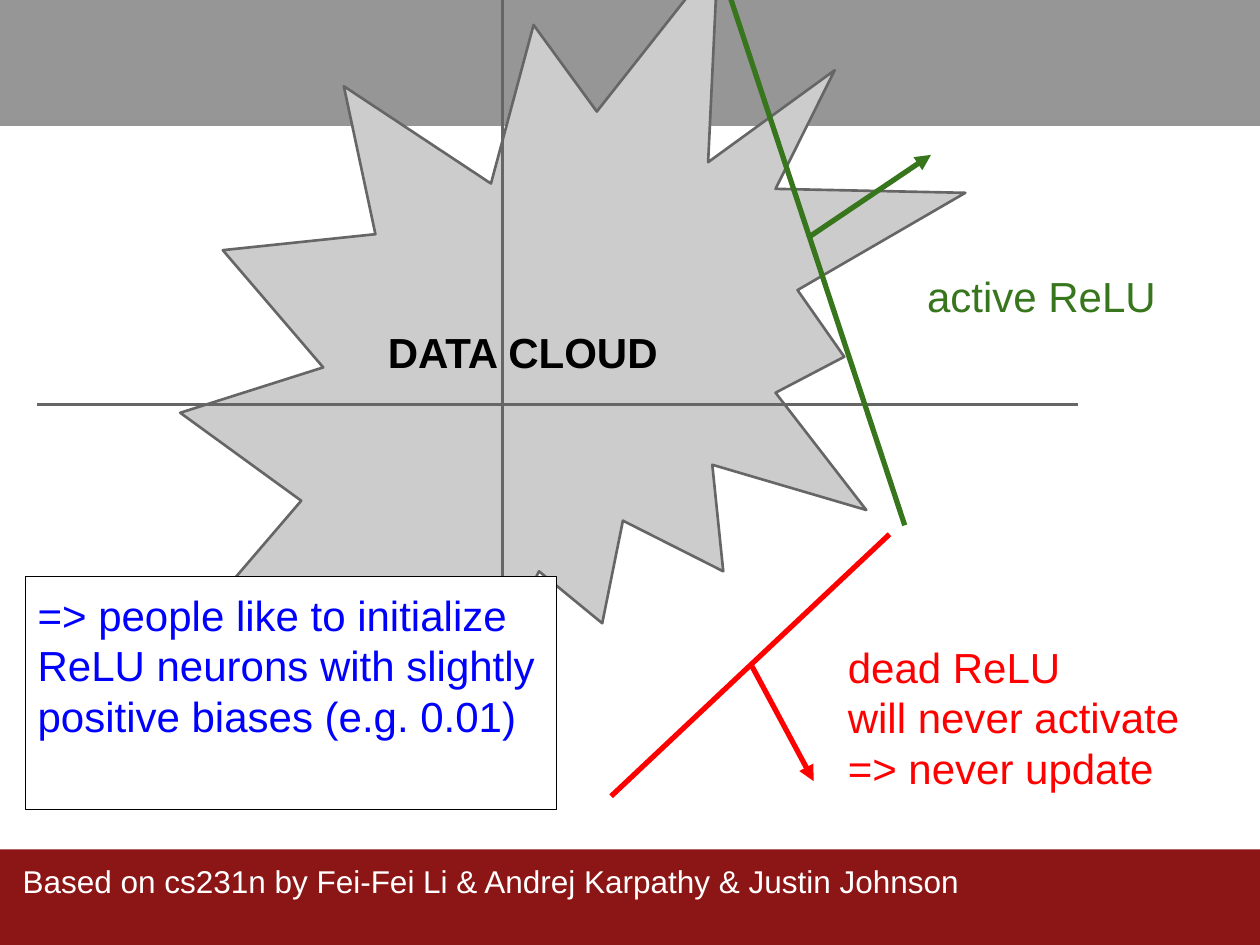
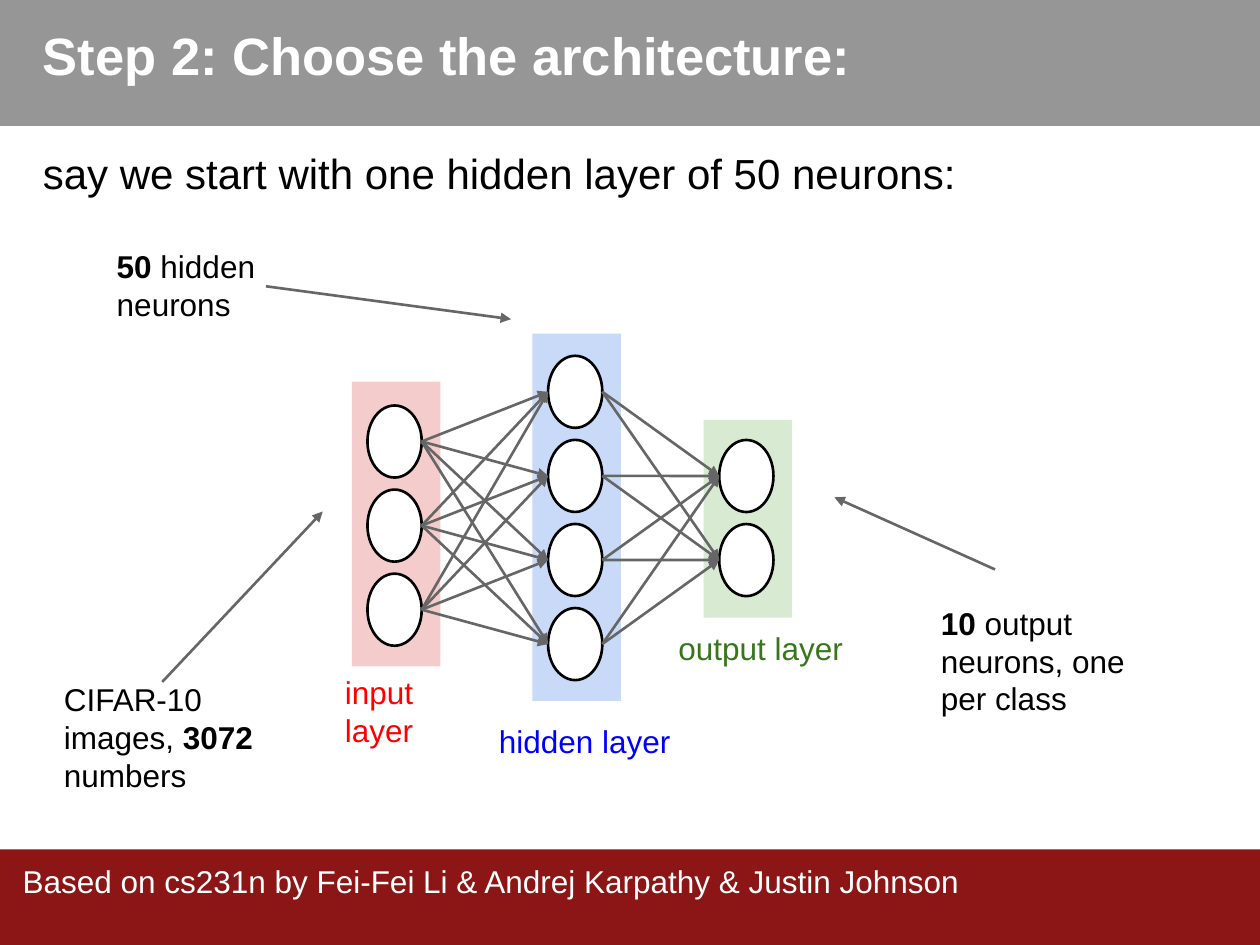
import pptx
import pptx.util
import pptx.dml.color
import pptx.enum.shapes
import pptx.enum.text
import pptx.oxml.ns
import lxml.etree

Pt = pptx.util.Pt
RGBColor = pptx.dml.color.RGBColor
MSO_SHAPE = pptx.enum.shapes.MSO_SHAPE
ANCHOR = pptx.enum.text.MSO_ANCHOR
qn = pptx.oxml.ns.qn

WHITE = RGBColor(0xFF, 0xFF, 0xFF)
BLACK = RGBColor(0x00, 0x00, 0x00)
BAND_GRAY = RGBColor(0x96, 0x96, 0x96)
BAND_RED = RGBColor(0x8C, 0x15, 0x15)
CLOUD_GRAY = RGBColor(0xCC, 0xCC, 0xCC)
LINE_GRAY = RGBColor(0x66, 0x66, 0x66)
GREEN = RGBColor(0x38, 0x76, 0x1D)
RED = RGBColor(0xFF, 0x00, 0x00)
BLUE = RGBColor(0x00, 0x00, 0xFF)
PALE_BLUE = RGBColor(0xC9, 0xDA, 0xF8)
PALE_RED = RGBColor(0xF4, 0xCC, 0xCC)
PALE_GREEN = RGBColor(0xD9, 0xEA, 0xD3)


def add_block(s, box, paragraphs=(), size=18, color=BLACK, shape=None,
              fill=None, line=None, width=0.75, anchor=ANCHOR.TOP):
    """Add a text box or filled shape; a paragraph is a list of (text, bold) runs."""
    box = [Pt(v) for v in box]
    if shape is None:
        sp = s.shapes.add_textbox(*box)
    else:
        sp = s.shapes.add_shape(shape, *box)
        sp.shadow.inherit = False
        sp.fill.solid()
        sp.fill.fore_color.rgb = fill
        if line is None:
            sp.line.fill.background()
        else:
            sp.line.color.rgb = line
            sp.line.width = Pt(width)
    tf = sp.text_frame
    tf.word_wrap = True
    tf.vertical_anchor = anchor
    tf.margin_left = tf.margin_right = tf.margin_top = tf.margin_bottom = Pt(7.2)
    for i, runs in enumerate(paragraphs):
        p = tf.paragraphs[0] if i == 0 else tf.add_paragraph()
        p.alignment = pptx.enum.text.PP_ALIGN.LEFT
        for text, bold in runs:
            r = p.add_run()
            r.text = text
            r.font.name = "Arial"
            r.font.size = Pt(size)
            r.font.bold = bold
            r.font.color.rgb = color
    return sp


def add_line(s, x1, y1, x2, y2, color=LINE_GRAY, width=1.5, arrow=False):
    c = s.shapes.add_connector(pptx.enum.shapes.MSO_CONNECTOR.STRAIGHT,
                               Pt(x1), Pt(y1), Pt(x2), Pt(y2))
    c.line.color.rgb = color
    c.line.width = Pt(width)
    if arrow:
        ln = c.line._get_or_add_ln()
        lxml.etree.SubElement(ln, qn("a:tailEnd"), type="triangle")
    lxml.etree.SubElement(c.element.spPr, qn("a:effectLst"))


prs = pptx.Presentation()
prs.slide_width = Pt(720)
prs.slide_height = Pt(540)

# Slide 1: data cloud
s = prs.slides.add_slide(prs.slide_layouts[6])

# Bands and footer, moved to the master behind its placeholders
credit = "Based on cs231n by Fei-Fei Li & Andrej Karpathy & Justin Johnson"
shared = [
    add_block(s, (0, 0, 720, 72), shape=MSO_SHAPE.RECTANGLE, fill=BAND_GRAY),
    add_block(s, (0, 485.3, 720, 55.2), shape=MSO_SHAPE.RECTANGLE, fill=BAND_RED),
    add_block(s, (5.8, 485.3, 714.2, 56.9), [[(credit, False)]], color=WHITE),
]
for i, sp in enumerate(shared):
    sp.element.nvSpPr.cNvPr.set("id", str(100 + i))
    prs.slide_master.shapes.element.insert(2 + i, sp.element)

# Cloud and axes
add_block(s, (103, -23.8, 448.6, 435.6), [[("DATA CLOUD", True)]], 24,
          shape=MSO_SHAPE.EXPLOSION2, fill=CLOUD_GRAY, line=LINE_GRAY,
          width=1.5, anchor=ANCHOR.MIDDLE)
add_line(s, 287.2, -29.5, 287.2, 455)
add_line(s, 21.4, 231.1, 616, 231.1)

# Active and dead units: boundary, then its normal
add_line(s, 412.6, -15.8, 517, 300.2, GREEN, 3)
add_line(s, 461.5, 136, 532, 88.5, GREEN, 3, arrow=True)
add_block(s, (522.7, 147.6, 177, 72), [[("active ReLU", False)]], 24, GREEN)
add_line(s, 508.3, 305.3, 349.2, 455, RED, 3)
add_line(s, 429.8, 380.9, 465, 446.4, RED, 3, arrow=True)
add_block(s, (477.4, 359.3, 234.7, 72),
          [[("dead ReLU", False)], [("will never activate", False)],
           [("=> never update", False)]], 24, RED)

# Advice box
add_block(s, (14.4, 329.5, 303.8, 133.2),
          [[("=> people like to initialize ReLU neurons with slightly "
             "positive biases (e.g. 0.01)", False)]], 24, BLUE,
          shape=MSO_SHAPE.RECTANGLE, fill=WHITE, line=BLACK)

# Slide 2: network architecture
s = prs.slides.add_slide(prs.slide_layouts[5])
title = s.shapes.title
title.left, title.top, title.width, title.height = Pt(17.3), Pt(5.8), Pt(693.4), Pt(46)
tf = title.text_frame
tf.word_wrap = True
tf.auto_size = pptx.enum.text.MSO_AUTO_SIZE.NONE
tf.vertical_anchor = ANCHOR.TOP
tf.margin_left = tf.margin_right = tf.margin_top = tf.margin_bottom = Pt(7.2)
for i, (text, size, color, bold, gap) in enumerate([
        ("Step 2: Choose the architecture:", 30, WHITE, True, 0),
        ("say we start with one hidden layer of 50 neurons:", 24, BLACK, False, 35)]):
    p = tf.paragraphs[0] if i == 0 else tf.add_paragraph()
    p.alignment = pptx.enum.text.PP_ALIGN.LEFT
    p.space_before = Pt(gap)
    r = p.add_run()
    r.text = text
    r.font.name = "Arial"
    r.font.size = Pt(size)
    r.font.bold = bold
    r.font.color.rgb = color

# Layers: panel top and height, left and top of the first neuron, neuron count
NEURON_W, NEURON_H, PITCH = 31, 41.2, 48.05
layers = [
    (218.1, 162.7, 210, 231.7, 3, PALE_RED),
    (190.6, 210, 313.2, 203.3, 4, PALE_BLUE),
    (239.9, 113.1, 411, 251.4, 2, PALE_GREEN),
]
centres = []
for panel_top, panel_h, left, top, count, fill in layers:
    add_block(s, (left - 9, panel_top, 50.6, panel_h),
              shape=MSO_SHAPE.RECTANGLE, fill=fill)
    for i in range(count):
        add_block(s, (left, top + i * PITCH, NEURON_W, NEURON_H),
                  shape=MSO_SHAPE.OVAL, fill=WHITE, line=BLACK, width=1.5)
    centres.append([(left, top + i * PITCH + NEURON_H / 2) for i in range(count)])

# Every neuron feeds every neuron of the next layer
for sources, targets in zip(centres, centres[1:]):
    for x2, y2 in targets:
        for x1, y1 in sources:
            add_line(s, x1 + NEURON_W, y1, x2, y2, arrow=True)

# Layer names
for name, box, color in [
        ("input layer", (190, 377.3, 75, 28.8), RED),
        ("hidden layer", (278, 405.4, 113.8, 28.8), BLUE),
        ("output layer", (380.6, 352, 113.8, 28.8), GREEN)]:
    add_block(s, box, [[(name, False)]], color=color)

# Notes with their arrows
for left, top, runs, arrow in [
        (29.4, 381.6, [("CIFAR-10 images, ", False), ("3072 ", True), ("numbers", False)],
         (92.7, 389.7, 184.4, 292.3)),
        (530.5, 337.9, [("10 ", True), ("output neurons, one per class", False)],
         (568.6, 325.4, 476.8, 284.2)),
        (59.6, 133.9, [("50", True), (" hidden neurons", False)],
         (152, 163.6, 292, 182.4))]:
    add_block(s, (left, top, 126, 41), [runs])
    add_line(s, *arrow, arrow=True)

prs.save("out.pptx")
